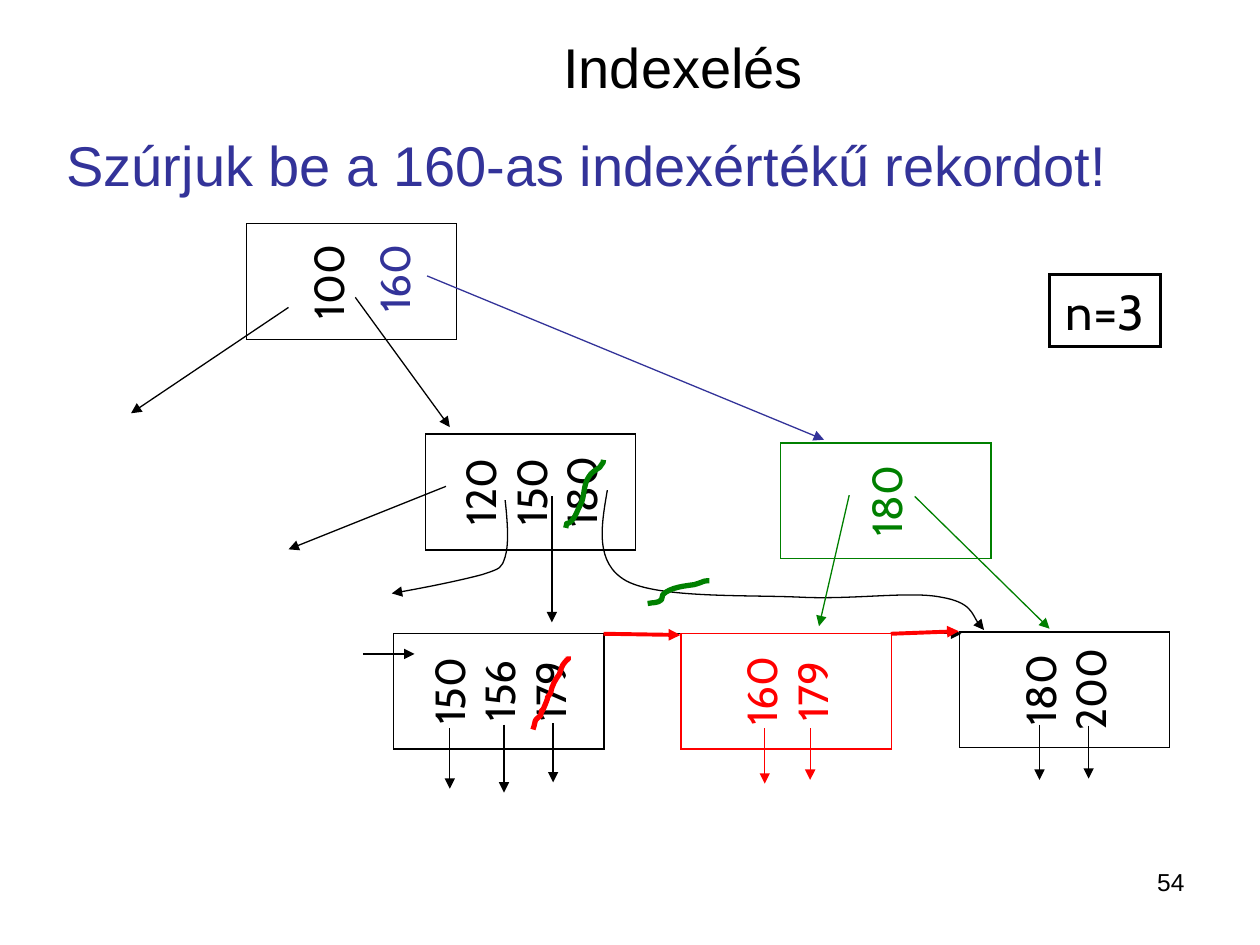
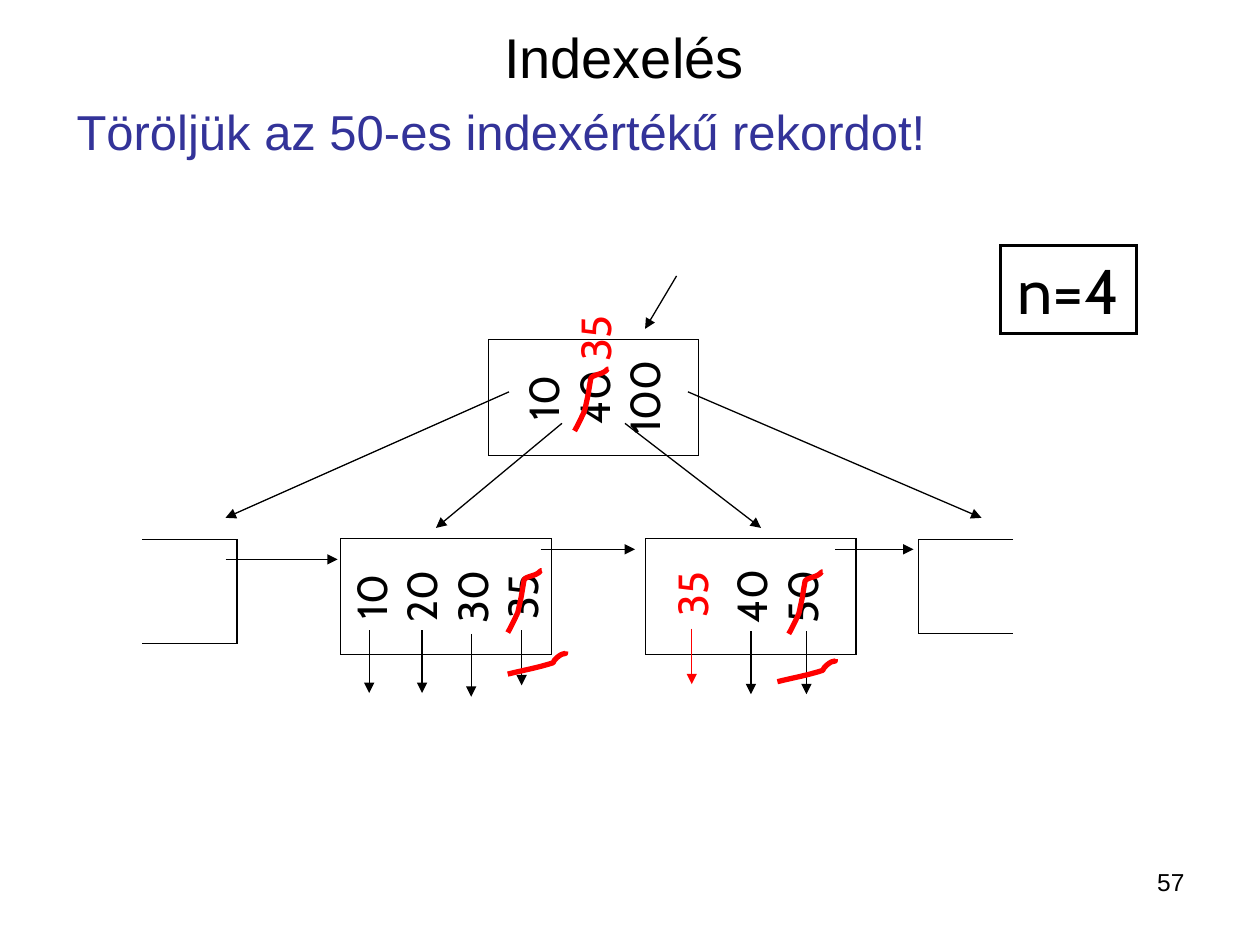
from pptx import Presentation
from pptx.dml.color import RGBColor
from pptx.enum.shapes import MSO_CONNECTOR, MSO_SHAPE
from pptx.enum.text import MSO_ANCHOR, MSO_AUTO_SIZE, PP_ALIGN
from pptx.oxml.ns import qn
from pptx.util import Inches, Pt
from lxml import etree

BLACK = RGBColor(0x00, 0x00, 0x00)
WHITE = RGBColor(0xFF, 0xFF, 0xFF)
BLUE = RGBColor(0x33, 0x33, 0x99)
GREEN = RGBColor(0x00, 0x80, 0x00)
RED = RGBColor(0xFF, 0x00, 0x00)

RECT = MSO_SHAPE.RECTANGLE
STRAIGHT = MSO_CONNECTOR.STRAIGHT
LEFT, CENTER, RIGHT = PP_ALIGN.LEFT, PP_ALIGN.CENTER, PP_ALIGN.RIGHT
TOP, MIDDLE = MSO_ANCHOR.TOP, MSO_ANCHOR.MIDDLE
NO_FIT = MSO_AUTO_SIZE.NONE

TITLE_ONLY = 5
NODE_W, NODE_H = 0.92, 1.67     # before the quarter turn
THIN, FRAME, CHAIN, BOLD = 0.75, 1.5, 2.25, 3

# Strike marks of the deletion slide, relative to their top left corner
KEY_STRIKE = [(0, .49), (.03, .44), (.08, .33), (.08, .33), (.12, .15), (.1, .24), (.13, .07),
              (.14, .05), (.2, .04), (.22, .03), (.28, 0), (.24, 0), (.27, 0)]
POINTER_STRIKE = [(0, .19), (.12, .16), (.24, .14), (.36, .1), (.37, .09), (.37, .07),
                  (.39, .06), (.46, 0), (.46, .05), (.46, .01)]


def write(tf, text, size=24, font="Cabin", color=BLACK, align=CENTER, anchor=MIDDLE, wrap=False):
    """Fill a text frame, one paragraph for each line of text."""
    tf.auto_size = NO_FIT
    tf.word_wrap = wrap
    tf.vertical_anchor = anchor
    tf.margin_left = tf.margin_right = Inches(0.1)
    tf.margin_top = tf.margin_bottom = Inches(0.05)
    for i, line_text in enumerate(text.split("\n")):
        p = tf.paragraphs[0] if i == 0 else tf.add_paragraph()
        p.alignment = align
        r = p.add_run()
        r.text = line_text
        r.font.size = Pt(size)
        r.font.name = font
        r.font.color.rgb = color


def text_box(slide, x, y, w, h, text, **fmt):
    sp = slide.shapes.add_textbox(Inches(x), Inches(y), Inches(w), Inches(h))
    write(sp.text_frame, text, **fmt)
    return sp


def style_line(sp, color, width, arrow=False):
    sp.line.color.rgb = color
    sp.line.width = Pt(width)
    if arrow:
        ln = sp.line._get_or_add_ln()
        etree.SubElement(ln, qn("a:tailEnd"), type="triangle")


def line(slide, x1, y1, x2, y2, color=BLACK, width=THIN, arrow=True):
    cn = slide.shapes.add_connector(STRAIGHT, Inches(x1), Inches(y1), Inches(x2), Inches(y2))
    style_line(cn, color, width, arrow)
    etree.SubElement(cn._element.spPr, qn("a:effectLst"))


def curve(slide, points, x=0, y=0, color=BLACK, width=THIN, arrow=False):
    """Draw joined cubic curves: a start point, then three points for each curve."""
    start, *rest = [(Inches(x + px), Inches(y + py)) for px, py in points]
    fb = slide.shapes.build_freeform(*start)
    fb.add_line_segments(rest, close=False)
    sp = fb.convert_to_shape()
    # Turn every three straight segments into one cubic curve
    segments = list(sp._element.iter(qn("a:lnTo")))
    outline = segments[0].getparent()
    for i in range(0, len(segments), 3):
        cubic = etree.SubElement(outline, qn("a:cubicBezTo"))
        for segment in segments[i:i + 3]:
            cubic.append(segment[0])
            outline.remove(segment)
    sp.fill.background()
    sp.shadow.inherit = False
    style_line(sp, color, width, arrow)


def box(slide, x, y, w, h, color, width):
    """Unfilled rectangle with sharp corners."""
    sp = slide.shapes.add_shape(RECT, Inches(x), Inches(y), Inches(w), Inches(h))
    sp.shadow.inherit = False
    sp.fill.background()
    style_line(sp, color, width)
    etree.SubElement(sp.line._get_or_add_ln(), qn("a:miter"), lim="800000")
    return sp


def node(slide, x, y, keys, color=BLACK, pointers=(), lead=0, trail=0):
    """Turned tree node; lead and trail keep room for a free key slot."""
    sp = box(slide, x, y, NODE_W, NODE_H, color, THIN)
    sp.rotation = 270
    sp.fill.solid()
    sp.fill.fore_color.rgb = WHITE
    tf = sp.text_frame
    write(tf, keys, color=color)
    tf.margin_top = Inches(0.05 + lead)
    tf.margin_bottom = Inches(0.05 + trail)
    for dx, start, end in pointers:
        line(slide, x + dx, y + start, x + dx, y + end, color)


def upright_key(slide, x, y, w, text, color):
    text_box(slide, x, y, w, 0.5, text, color=color).rotation = 270


def order_box(slide, x, y, w, h, text, size):
    """Framed box that gives the order of the tree."""
    write(box(slide, x, y, w, h, BLACK, FRAME).text_frame, text, size=size)


def new_slide(prs, title_box, task_box, task, task_size, number):
    """Slide with the shared title, task line and page number."""
    slide = prs.slides.add_slide(prs.slide_layouts[TITLE_ONLY])
    sp = slide.shapes.title
    sp.left, sp.top, sp.width, sp.height = map(Inches, title_box)
    plain = dict(font="Arial", align=LEFT, anchor=TOP, wrap=True)
    write(sp.text_frame, "Indexelés", size=32, **plain)
    text_box(slide, *task_box, task, size=task_size, color=BLUE, **plain)
    text_box(slide, 7.17, 6.83, 2.33, 0.52, number, size=14, **(plain | {"align": RIGHT}))
    return slide


def insertion_slide(prs):
    slide = new_slide(prs, (4.37, 0.21, 2.91, 0.64), (0.43, 0.99, 8.5, 0.65),
                      "Szúrjuk be a 160-as indexértékű rekordot!", 32, "54")
    order_box(slide, 8.33, 2.18, 0.88, 0.57, "n=3", 28)

    # Tree before the insertion
    node(slide, 2.33, 1.4, "100", trail=0.38)
    node(slide, 3.75, 3.07, "120\n150\n180")
    node(slide, 3.5, 4.65, "150\n156\n179",
         pointers=[(.07, 1.13, 1.61), (.5, 1.1, 1.64), (.89, 1.09, 1.56)])
    node(slide, 7.99, 4.64, "180\n200", pointers=[(.26, 1.11, 1.55), (.65, 1.12, 1.54)])
    for ends in [(2.29, 2.44, 1.04, 3.28), (2.82, 2.36, 3.57, 3.39), (3.54, 3.86, 2.29, 4.36),
                 (2.88, 5.19, 3.29, 5.19), (4.38, 3.94, 4.38, 4.94), (4.79, 5.03, 7.63, 5.03)]:
        line(slide, *ends)
    curve(slide, [(4.01, 3.97), (4.03, 4.15), (4.04, 4.32), (4.01, 4.42), (3.98, 4.51),
                  (3.98, 4.51), (3.83, 4.56), (3.68, 4.6), (3.4, 4.66), (3.11, 4.71)], arrow=True)
    curve(slide, [(4.82, 3.89), (4.77, 4.18), (4.72, 4.47), (4.97, 4.61), (5.23, 4.75),
                  (5.94, 4.72), (6.36, 4.74), (6.78, 4.76), (7.23, 4.69), (7.47, 4.74),
                  (7.71, 4.78), (7.75, 4.96), (7.81, 5)], arrow=True)

    # New root key
    upright_key(slide, 2.74, 1.96, 0.77, "160", BLUE)
    line(slide, 3.39, 2.19, 6.54, 3.49, BLUE)

    # New inner node
    node(slide, 6.57, 3.14, "180", GREEN)
    line(slide, 6.74, 3.93, 6.5, 4.97, GREEN)
    line(slide, 7.26, 3.94, 8.33, 4.99, GREEN)
    curve(slide, [(5.14, 4.79), (5.18, 4.78), (5.22, 4.79), (5.25, 4.76), (5.26, 4.75),
                  (5.25, 4.73), (5.26, 4.72), (5.32, 4.66), (5.44, 4.65), (5.51, 4.64),
                  (5.61, 4.61), (5.57, 4.61), (5.63, 4.61)], color=GREEN, width=BOLD)
    curve(slide, [(4.49, 4.19), (4.51, 4.11), (4.48, 4.19), (4.54, 4.13), (4.57, 4.1),
                  (4.59, 4.03), (4.61, 4), (4.64, 3.94), (4.63, 3.85), (4.67, 3.79),
                  (4.69, 3.75), (4.73, 3.73), (4.76, 3.71), (4.79, 3.66), (4.79, 3.68),
                  (4.79, 3.65)], color=GREEN, width=BOLD)

    # New leaf
    node(slide, 5.78, 4.65, "160\n179", RED, pointers=[(.29, 1.13, 1.57), (.65, 1.13, 1.54)])
    line(slide, 4.79, 5.03, 5.4, 5.04, RED, CHAIN)
    line(slide, 7.07, 5.03, 7.61, 5.01, RED, CHAIN)
    curve(slide, [(4.23, 5.79), (4.26, 5.7), (4.23, 5.73), (4.29, 5.68), (4.32, 5.57),
                  (4.27, 5.72), (4.32, 5.61), (4.38, 5.47), (4.31, 5.59), (4.37, 5.5),
                  (4.38, 5.44), (4.41, 5.39), (4.44, 5.35), (4.45, 5.32), (4.46, 5.28),
                  (4.48, 5.26), (4.52, 5.21), (4.51, 5.25), (4.51, 5.21)], color=RED, width=BOLD)


def open_node(slide, outer, inner, top, bottom):
    """Neighbour leaf that is open on its outer side."""
    line(slide, outer, top, inner, top, arrow=False)
    line(slide, inner, top, inner, bottom, arrow=False)
    line(slide, inner, bottom, outer, bottom, arrow=False)


def deletion_slide(prs):
    slide = new_slide(prs, (3.9, 0.13, 2.2, 0.64), (0.51, 0.76, 7.8, 0.71),
                      "Töröljük az 50-es indexértékű rekordot!", 28, "57")
    order_box(slide, 7.94, 1.95, 1.08, 0.7, "n=4", 36)

    # Tree before the deletion
    node(slide, 4.25, 2.32, "10\n40\n100")
    node(slide, 3.08, 3.9, "10\n20\n30\n35",
         pointers=[(-.15, 1.1, 1.6), (.27, 1.1, 1.6), (.66, 1.13, 1.63), (1.06, 1.1, 1.54)])
    node(slide, 5.5, 3.9, "40\n50", lead=0.4, pointers=[(.46, 1.11, 1.61), (.9, 1.11, 1.61)])
    open_node(slide, 1.13, 1.88, 4.28, 5.11)
    open_node(slide, 8.04, 7.29, 4.28, 5.03)
    for ends in [(5.37, 2.19, 5.12, 2.61), (4.46, 3.36, 3.46, 4.19), (4.96, 3.36, 6.04, 4.19),
                 (4.04, 3.11, 1.79, 4.11), (5.46, 3.11, 7.79, 4.11), (1.79, 4.44, 2.68, 4.44),
                 (4.29, 4.36, 5.04, 4.36), (6.63, 4.36, 7.25, 4.36)]:
        line(slide, *ends)

    # Moved key and strike marks
    upright_key(slide, 5.2, 4.47, 0.58, "35", RED)
    line(slide, 5.49, 4.99, 5.49, 5.43, RED)
    upright_key(slide, 4.43, 2.44, 0.58, "35", RED)
    for x, y in [(4.56, 2.93), (4.03, 4.53), (6.26, 4.54)]:
        curve(slide, KEY_STRIKE, x, y, RED, BOLD)
    for x, y in [(4.03, 5.16), (6.17, 5.22)]:
        curve(slide, POINTER_STRIKE, x, y, RED, BOLD)


def main():
    prs = Presentation()
    prs.slide_width, prs.slide_height = Inches(10), Inches(7.5)
    insertion_slide(prs)
    deletion_slide(prs)
    prs.save("out.pptx")


if __name__ == "__main__":
    main()
